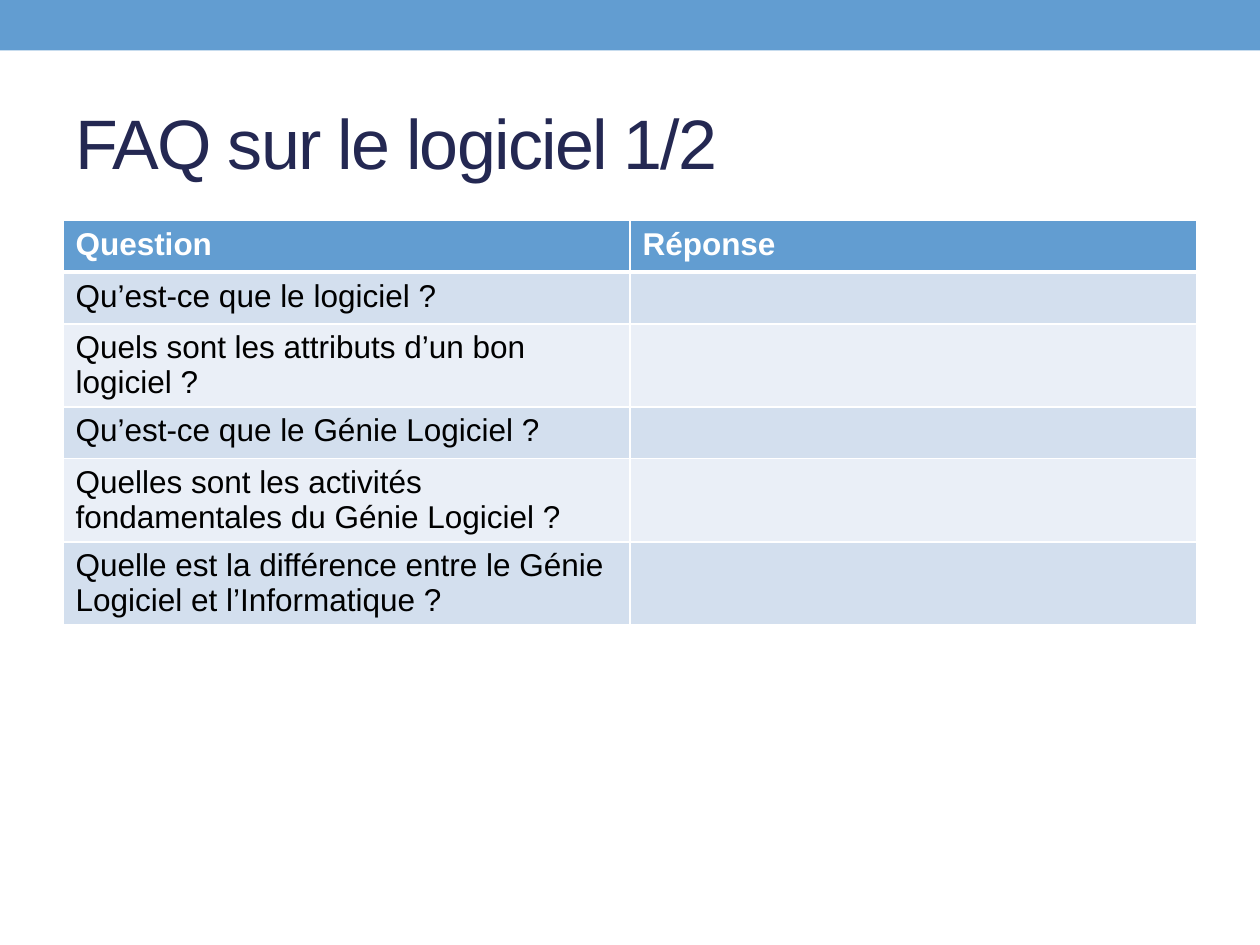
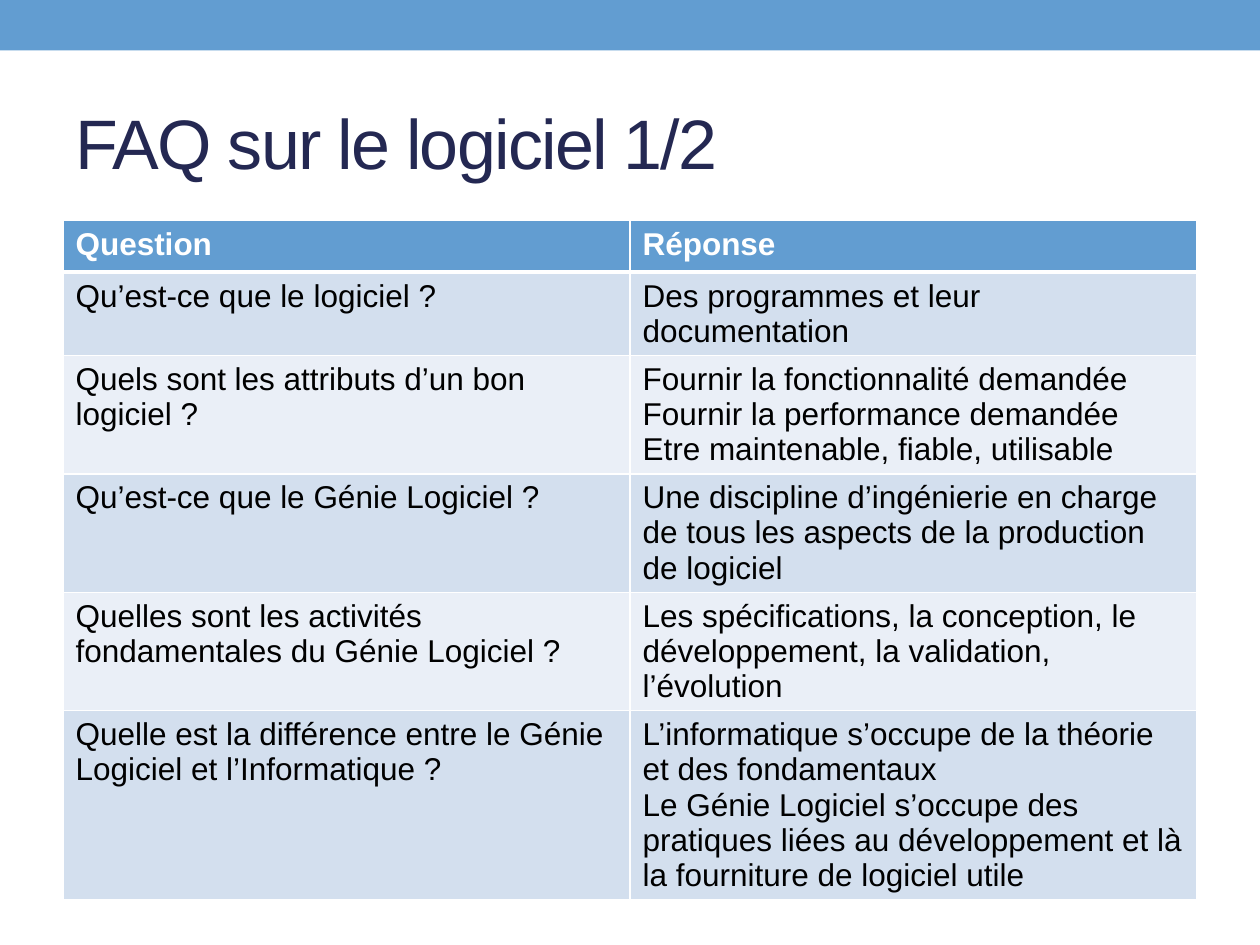
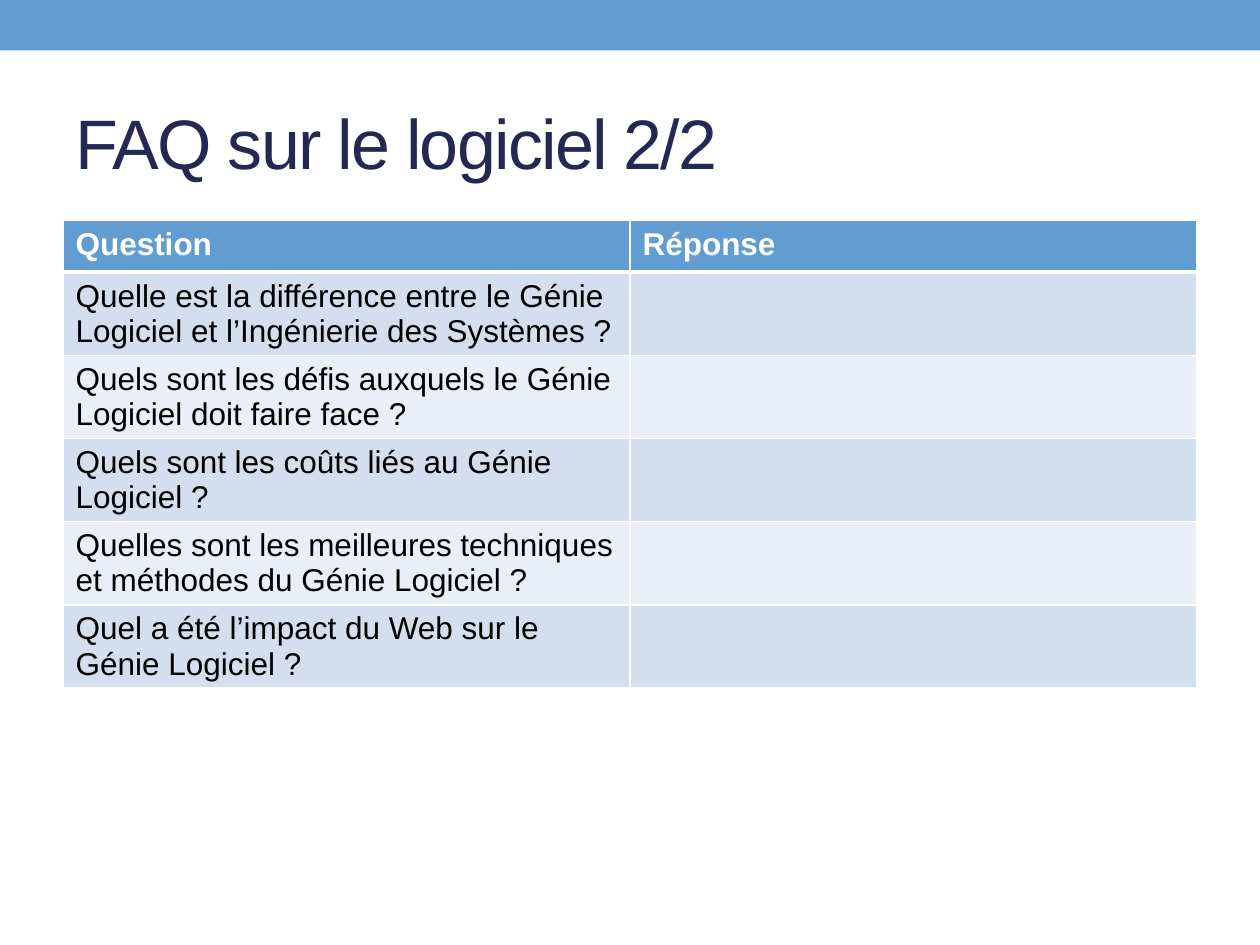
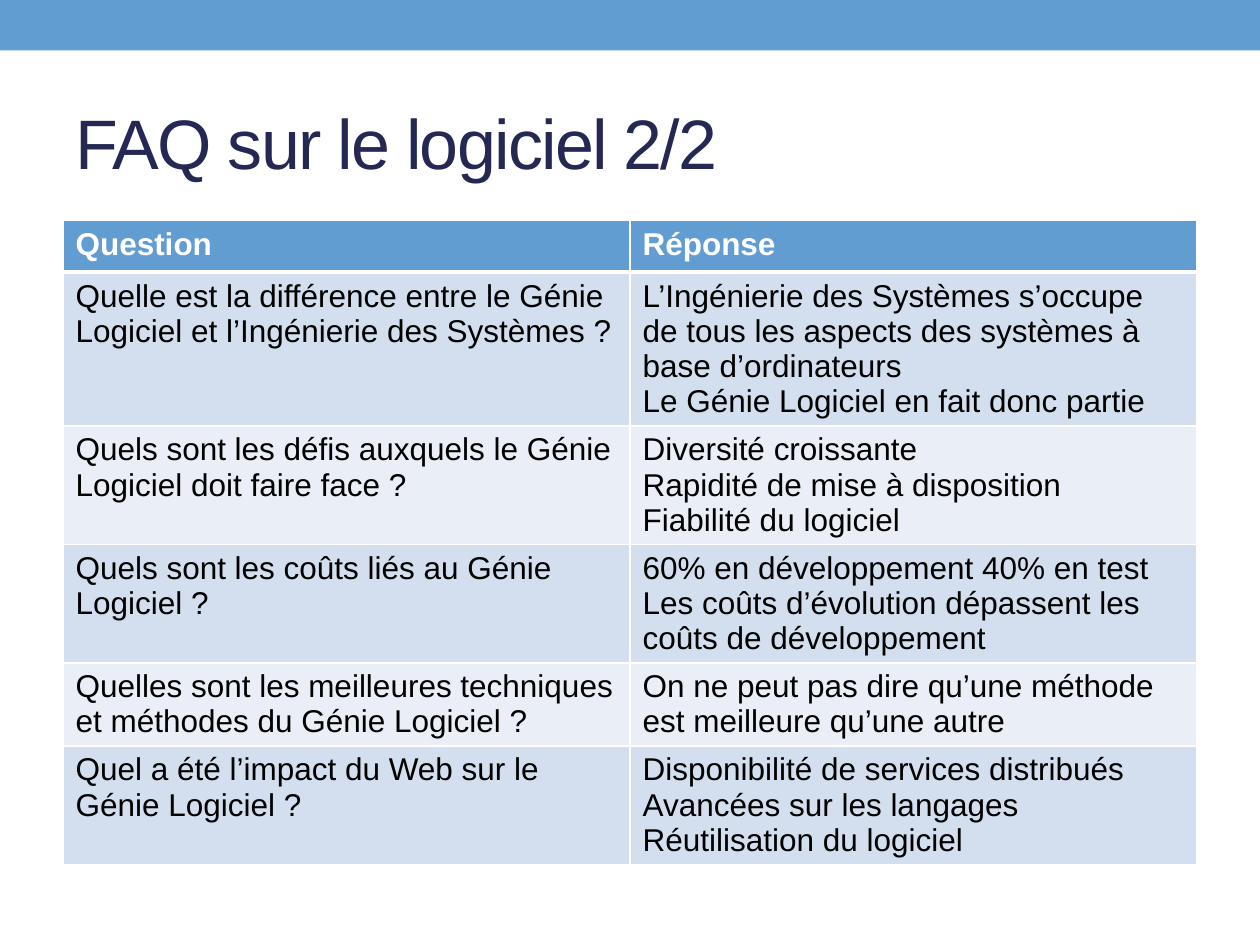
from lxml.etree import SubElement
from pptx import Presentation
from pptx.dml.color import RGBColor
from pptx.enum.shapes import MSO_SHAPE
from pptx.enum.text import MSO_ANCHOR, MSO_AUTO_SIZE, PP_ALIGN
from pptx.oxml.ns import qn
from pptx.util import Inches, Pt

# Content: each section is shown first without, then with its answers
HEADERS = ("Question", "Réponse")
SECTIONS = [
    ("FAQ sur le logiciel 1/2", [
        ("Qu’est-ce que le logiciel ?",
         ["Des programmes et leur documentation"]),
        ("Quels sont les attributs d’un bon logiciel ?",
         ["Fournir la fonctionnalité demandée",
          "Fournir la performance demandée",
          "Etre maintenable, fiable, utilisable"]),
        ("Qu’est-ce que le Génie Logiciel ?",
         ["Une discipline d’ingénierie en charge de tous les aspects "
          "de la production de logiciel"]),
        ("Quelles sont les activités fondamentales du Génie Logiciel ?",
         ["Les spécifications, la conception, le développement, "
          "la validation, l’évolution"]),
        ("Quelle est la différence entre le Génie Logiciel et l’Informatique ?",
         ["L’informatique s’occupe de la théorie et des fondamentaux",
          "Le Génie Logiciel s’occupe des pratiques liées au développement "
          "et là la fourniture de logiciel utile"]),
    ]),
    ("FAQ sur le logiciel 2/2", [
        ("Quelle est la différence entre le Génie Logiciel "
         "et l’Ingénierie des Systèmes ?",
         ["L’Ingénierie des Systèmes s’occupe de tous les aspects "
          "des systèmes à base d’ordinateurs",
          "Le Génie Logiciel en fait donc partie"]),
        ("Quels sont les défis auxquels le Génie Logiciel doit faire face ?",
         ["Diversité croissante",
          "Rapidité de mise à disposition",
          "Fiabilité du logiciel"]),
        ("Quels sont les coûts liés au Génie Logiciel ?",
         ["60% en développement 40% en test",
          "Les coûts d’évolution dépassent les coûts de développement"]),
        ("Quelles sont les meilleures techniques et méthodes du Génie Logiciel ?",
         ["On ne peut pas dire qu’une méthode est meilleure qu’une autre"]),
        ("Quel a été l’impact du Web sur le Génie Logiciel ?",
         ["Disponibilité de services distribués",
          "Avancées sur les langages",
          "Réutilisation du logiciel"]),
    ]),
]

# Shared style
FONT = "Arial"
BLUE, NAVY, WHITE, BLACK = "629DD1", "242852", "FFFFFF", "000000"
ROW_FILLS = ("D3DFEE", "EAEFF7")
MARGIN, CONTENT_WIDTH = 0.5, 9
TABLE_TOP, ROW_HEIGHT = 1.75, 0.41
TITLE_ONLY = 5


def rgb(color):
    return RGBColor.from_string(color)


def format_runs(text_frame, size, color, bold=False):
    for paragraph in text_frame.paragraphs:
        for run in paragraph.runs:
            run.font.name = FONT
            run.font.size = Pt(size)
            run.font.bold = bold
            run.font.color.rgb = rgb(color)


def add_band(slide):
    """Draw the top band and move it to the layout all slides share."""
    band = slide.shapes.add_shape(
        MSO_SHAPE.RECTANGLE, 0, 0, Inches(10), Inches(0.4))
    band.shadow.inherit = False
    band.fill.solid()
    band.fill.fore_color.rgb = rgb(BLUE)
    band.line.fill.background()
    slide.slide_layout.shapes.element.insert(2, band.element)


def set_title(slide, text):
    title = slide.shapes.title
    title.left, title.top = Inches(MARGIN), Inches(0.58)
    title.width, title.height = Inches(CONTENT_WIDTH), Inches(1.08)
    text_frame = title.text_frame
    text_frame.text = text
    text_frame.auto_size = MSO_AUTO_SIZE.NONE
    text_frame.vertical_anchor = MSO_ANCHOR.MIDDLE
    paragraph = text_frame.paragraphs[0]
    paragraph.alignment = PP_ALIGN.LEFT
    format_runs(text_frame, 40, NAVY)
    paragraph.runs[0].font._element.set("spc", "-100")


def set_borders(cell, top, bottom):
    properties = cell._tc.get_or_add_tcPr()
    for side, width in (("L", 1), ("R", 1), ("T", top), ("B", bottom)):
        line = SubElement(properties, qn(f"a:ln{side}"), w=str(Pt(width)))
        fill = SubElement(line, qn("a:solidFill"))
        SubElement(fill, qn("a:srgbClr"), val=WHITE)


def add_faq_table(slide, rows):
    frame = slide.shapes.add_table(
        len(rows), len(HEADERS), Inches(MARGIN), Inches(TABLE_TOP),
        Inches(CONTENT_WIDTH), Inches(ROW_HEIGHT * len(rows)))
    table = frame.table
    for row_index, row in enumerate(rows):
        is_header = row_index == 0
        table.rows[row_index].height = Inches(ROW_HEIGHT)
        for column_index, text in enumerate(row):
            cell = table.cell(row_index, column_index)
            cell.text_frame.text = text
            format_runs(cell.text_frame, 18,
                        WHITE if is_header else BLACK, is_header)
            # A thick rule separates the header from the first question
            set_borders(cell, top=3 if row_index == 1 else 1,
                        bottom=3 if is_header else 1)
            cell.fill.solid()
            cell.fill.fore_color.rgb = rgb(
                BLUE if is_header else ROW_FILLS[(row_index - 1) % 2])


def main():
    presentation = Presentation()
    presentation.slide_width, presentation.slide_height = Inches(10), Inches(7.5)
    layout = presentation.slide_layouts[TITLE_ONLY]
    for title, questions in SECTIONS:
        for show_answers in (False, True):
            slide = presentation.slides.add_slide(layout)
            set_title(slide, title)
            add_faq_table(slide, [HEADERS] + [
                (question, "\n".join(answers) if show_answers else "")
                for question, answers in questions])
    add_band(presentation.slides[0])
    presentation.save("out.pptx")


if __name__ == "__main__":
    main()
